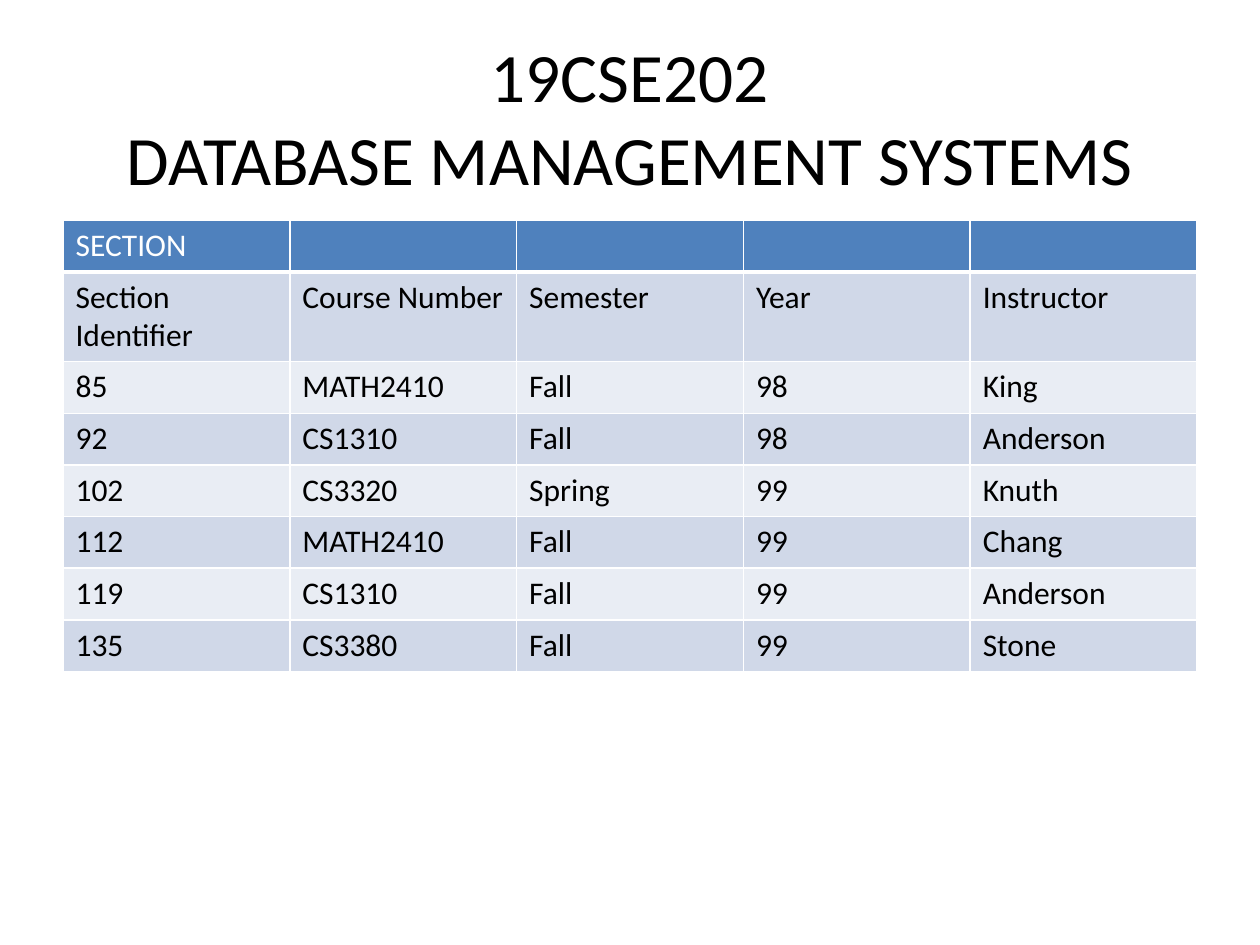
from lxml import etree
from pptx import Presentation
from pptx.dml.color import RGBColor
from pptx.enum.text import MSO_ANCHOR, MSO_AUTO_SIZE, PP_ALIGN
from pptx.oxml.ns import qn
from pptx.util import Inches, Pt


def color(value):
    return RGBColor.from_string(value)


class SlideBuilder:
    font = "Calibri"
    ink = "000000"
    white = "FFFFFF"
    header_fill = "4F81BD"
    band_fills = ("D0D8E8", "E9EDF4")

    def __init__(self, slide):
        self.slide = slide

    def style(self, paragraph, size, ink, bold=False):
        for run in paragraph.runs:
            run.font.name = self.font
            run.font.size = Pt(size)
            run.font.bold = bold
            run.font.color.rgb = color(ink)

    def place(self, shape, left, top, width, height):
        shape.left, shape.top = Inches(left), Inches(top)
        shape.width, shape.height = Inches(width), Inches(height)

    def title(self, lines, box, size):
        title = self.slide.shapes.title
        self.place(title, *box)
        frame = title.text_frame
        frame.text = "\v".join(lines)
        frame.word_wrap = True
        frame.auto_size = MSO_AUTO_SIZE.NONE
        frame.vertical_anchor = MSO_ANCHOR.MIDDLE
        paragraph = frame.paragraphs[0]
        paragraph.alignment = PP_ALIGN.CENTER
        self.style(paragraph, size, self.ink)

    def border(self, cell, side, width):
        properties = cell._tc.get_or_add_tcPr()
        line = etree.SubElement(properties, qn(f"a:ln{side}"), w=str(Pt(width)))
        fill = etree.SubElement(line, qn("a:solidFill"))
        etree.SubElement(fill, qn("a:srgbClr"), val=self.white)

    def table(self, rows, left, top, width, row_height, size):
        columns = len(rows[0])
        table = self.slide.shapes.add_table(
            len(rows), columns, Inches(left), Inches(top),
            Inches(width), Inches(row_height * len(rows))).table
        for column in table.columns:
            column.width = Inches(width / columns)
        for index, values in enumerate(rows):
            header = index == 0
            table.rows[index].height = Inches(row_height)
            fill = self.header_fill if header else self.band_fills[(index - 1) % 2]
            edges = {"L": 1, "R": 1, "T": 3 if index == 1 else 1, "B": 3 if header else 1}
            for cell, value in zip(table.rows[index].cells, values):
                for side, weight in edges.items():
                    self.border(cell, side, weight)
                cell.fill.solid()
                cell.fill.fore_color.rgb = color(fill)
                paragraph = cell.text_frame.paragraphs[0]
                paragraph.font.size = Pt(size)
                if value:
                    cell.text = value
                    self.style(paragraph, size, self.white if header else self.ink, header)


presentation = Presentation()
presentation.slide_width, presentation.slide_height = Inches(10), Inches(7.5)
builder = SlideBuilder(presentation.slides.add_slide(presentation.slide_layouts[5]))
builder.title(["19CSE202", "DATABASE MANAGEMENT SYSTEMS"], (0.5, 0.3, 9, 1.25), 39.6)

sections = [
    ("SECTION", "", "", "", ""),
    ("Section Identifier", "Course Number", "Semester", "Year", "Instructor"),
    ("85", "MATH2410", "Fall", "98", "King"),
    ("92", "CS1310", "Fall", "98", "Anderson"),
    ("102", "CS3320", "Spring", "99", "Knuth"),
    ("112", "MATH2410", "Fall", "99", "Chang"),
    ("119", "CS1310", "Fall", "99", "Anderson"),
    ("135", "CS3380", "Fall", "99", "Stone"),
]
builder.table(sections, left=0.5, top=1.75, width=9, row_height=0.41, size=18)
presentation.save("out.pptx")
